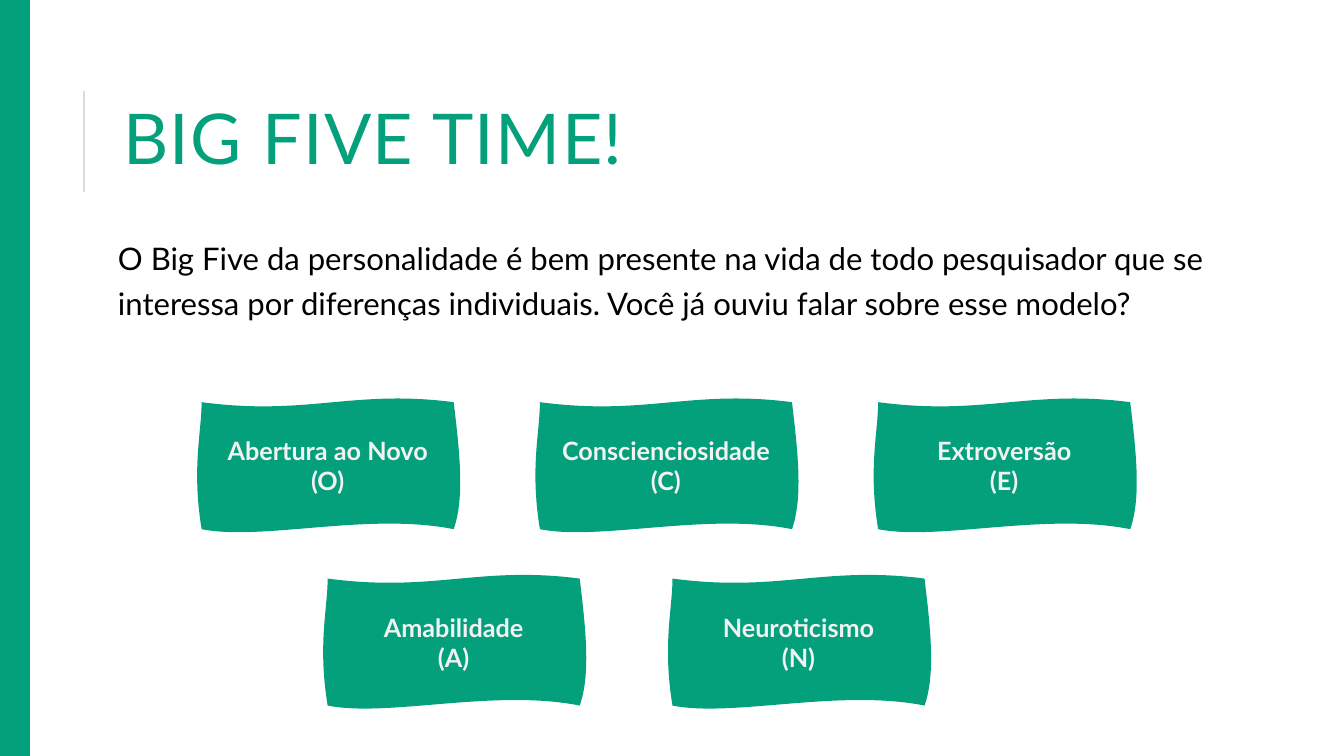
"""Build the Big Five slide: a title, an introduction and five wavy trait flags."""
from lxml.etree import SubElement
from pptx import Presentation
from pptx.dml.color import RGBColor
from pptx.enum.shapes import MSO_CONNECTOR, MSO_SHAPE
from pptx.enum.text import MSO_ANCHOR, MSO_AUTO_SIZE, PP_ALIGN
from pptx.oxml.ns import qn
from pptx.util import Inches, Pt

COLORS = {"green": "04A07B", "rule": "DDDDDD", "text": "000000", "flag_text": "F2F2F2"}
FONT = "Lato"
INTRO = (
    "O Big Five da personalidade é bem presente na vida de todo pesquisador que se "
    "interessa por diferenças individuais. Você já ouviu falar sobre esse modelo?"
)
FLAG_ROWS = [
    (2, 3.99, 3.355, ["Abertura ao Novo (O)", "Conscienciosidade\n(C)", "Extroversão\n(E)"]),
    (3.25, 5.74, 3.42, ["Amabilidade\n(A)", "Neuroticismo\n(N)"]),
]
WAVE = [
    [(1.05, 0.14), (1.5, -0.13), (2.5, 0)],
    [(2.56, 0.5), (2.61, 0.95), (2.5, 1.26)],
    [(1.65, 1.09), (0.6, 1.38), (0, 1.26)],
    [(-0.1, 0.65), (0, 0.3), (0, 0)],
]


def color(name):
    return RGBColor.from_string(COLORS[name])


def place(box, left, top, width, height):
    box.left, box.top = Inches(left), Inches(top)
    box.width, box.height = Inches(width), Inches(height)


def style_runs(para, size, color_name, bold=False):
    for span in para.runs:
        span.font.name = FONT
        span.font.size = Pt(size)
        span.font.bold = bold
        span.font.color.rgb = color(color_name)


def add_title(page, text):
    title = page.shapes.title
    place(title, 1.12, 0.61, 10.63, 1.64)
    frame = title.text_frame
    frame.text = text
    frame.auto_size = MSO_AUTO_SIZE.NONE
    frame.vertical_anchor = MSO_ANCHOR.MIDDLE
    para = frame.paragraphs[0]
    para.alignment = PP_ALIGN.LEFT
    para.line_spacing = 0.8
    style_runs(para, 50, "green")
    para.runs[0].font._element.set("spc", "100")


def add_intro(page, text):
    body = page.placeholders[1]
    place(body, 1.12, 2.25, 11.32, 1.26)
    frame = body.text_frame
    frame.text = text
    frame.auto_size = MSO_AUTO_SIZE.NONE
    frame.margin_left = frame.margin_right = Inches(0.05)
    frame.margin_top = frame.margin_bottom = Inches(0.05)
    para = frame.paragraphs[0]
    para.line_spacing = 1.2
    para.space_before, para.space_after = Pt(12), Pt(2)
    style_runs(para, 22.2, "text")
    properties = para._p.get_or_add_pPr()
    properties.set("marL", "0")
    properties.set("indent", "0")
    SubElement(properties, qn("a:buNone"))


def add_side_bar(page):
    bar = page.shapes.add_shape(MSO_SHAPE.RECTANGLE, 0, 0, Inches(0.29), Inches(7.5))
    bar.shadow.inherit = False
    bar.fill.solid()
    bar.fill.fore_color.rgb = color("green")
    bar.line.color.rgb = color("green")
    bar.line.width = Pt(1.25)


def add_title_rule(page):
    rule = page.shapes.add_connector(
        MSO_CONNECTOR.STRAIGHT, Inches(0.83), Inches(1.9), Inches(0.83), Inches(0.9)
    )
    rule.line.color.rgb = color("rule")
    rule.line.width = Pt(1.5)
    SubElement(rule._element.spPr, qn("a:effectLst"))


def bend_sides(flag):
    sides = list(flag._element.iter(qn("a:lnTo")))
    for side, curve in zip(sides, WAVE):
        bend = SubElement(side.getparent(), qn("a:cubicBezTo"))
        for x, y in curve:
            SubElement(bend, qn("a:pt"), x=str(int(Inches(x))), y=str(int(Inches(y))))
        side.getparent().replace(side, bend)


def add_flag(page, left, top, text):
    corners = [(Inches(left + x), Inches(top + y)) for *_, (x, y) in WAVE]
    builder = page.shapes.build_freeform(Inches(left), Inches(top))
    builder.add_line_segments(corners)
    flag = builder.convert_to_shape()
    bend_sides(flag)
    flag.shadow.inherit = False
    flag.fill.solid()
    flag.fill.fore_color.rgb = color("green")
    flag.line.fill.background()
    frame = flag.text_frame
    frame.text = text
    frame.word_wrap = True
    frame.vertical_anchor = MSO_ANCHOR.MIDDLE
    for para in frame.paragraphs:
        para.alignment = PP_ALIGN.CENTER
        style_runs(para, 18, "flag_text", bold=True)


def main():
    deck = Presentation()
    deck.slide_width, deck.slide_height = Inches(13.33), Inches(7.5)
    page = deck.slides.add_slide(deck.slide_layouts[1])
    add_title_rule(page)
    add_title(page, "BIG FIVE TIME!")
    add_intro(page, INTRO)
    add_side_bar(page)
    for left, top, pitch, traits in FLAG_ROWS:
        for column, trait in enumerate(traits):
            add_flag(page, left + column * pitch, top, trait)
    deck.save("out.pptx")


if __name__ == "__main__":
    main()
